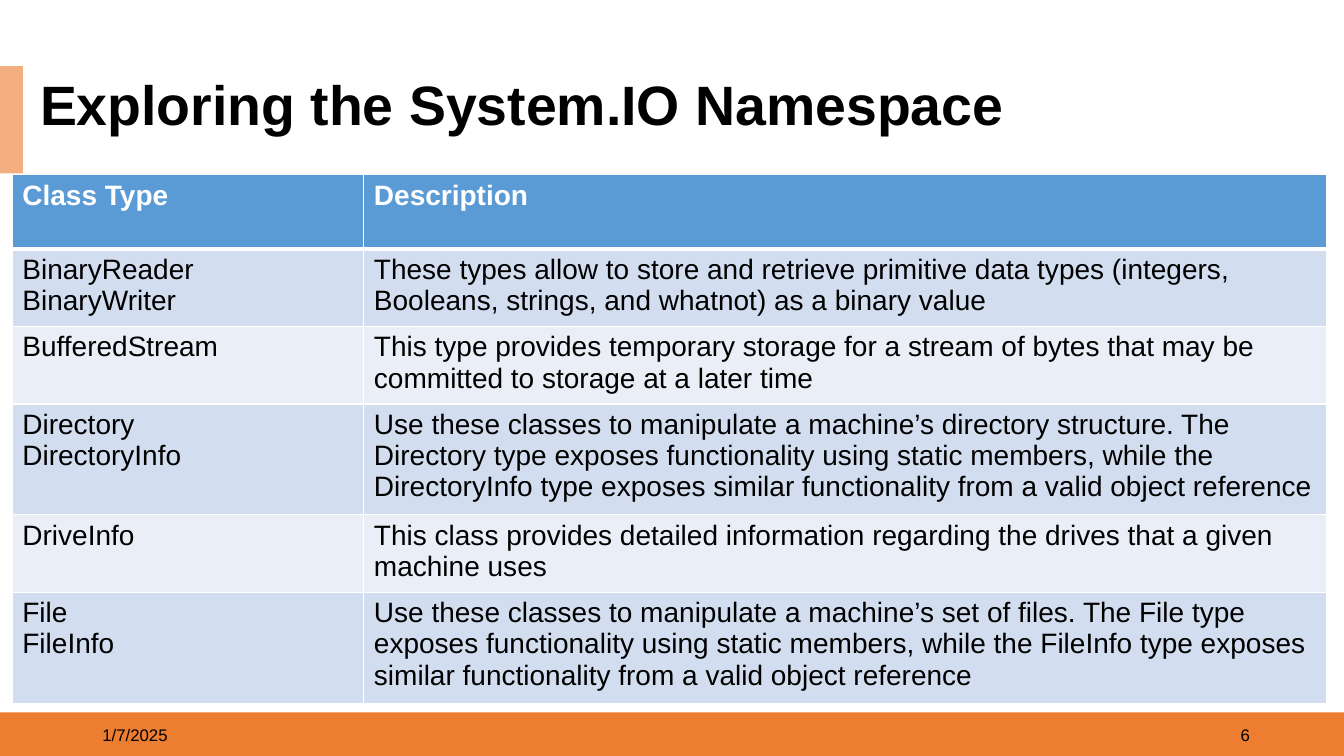
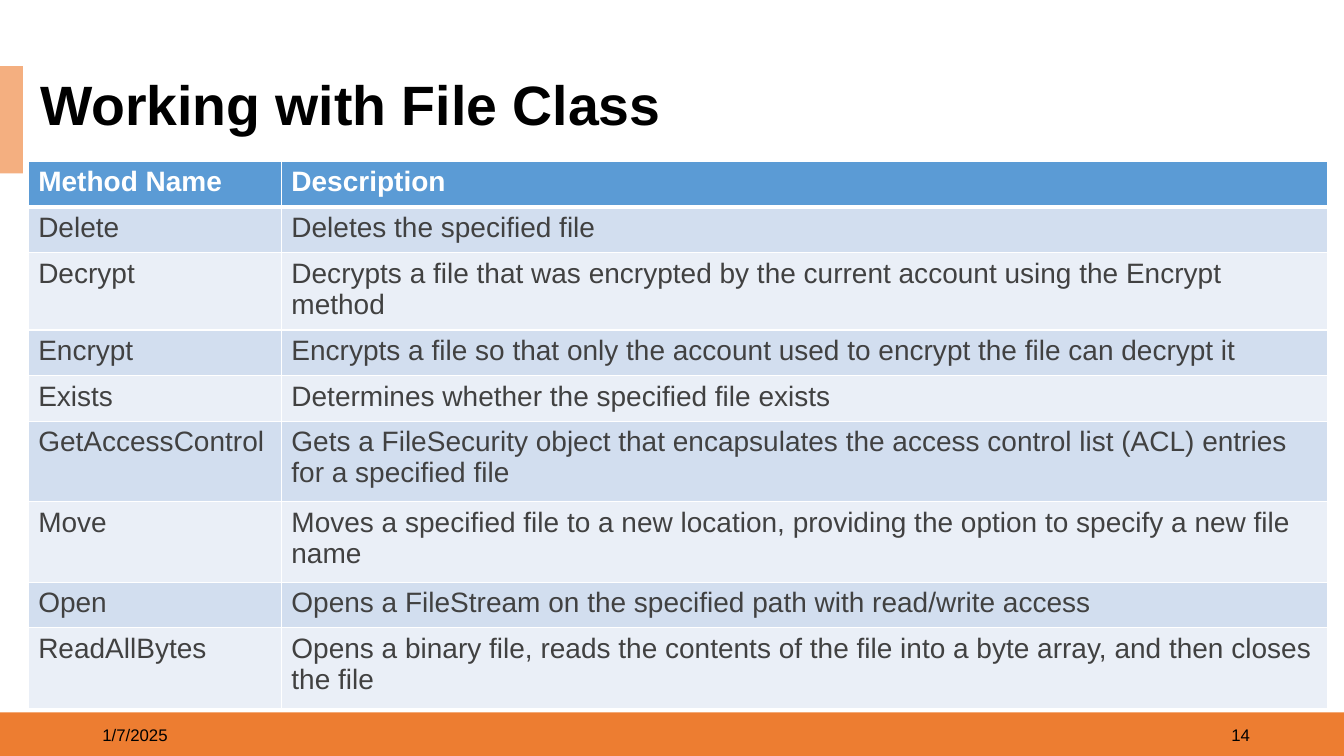
from dataclasses import dataclass

from lxml.etree import SubElement
from pptx import Presentation
from pptx.dml.color import RGBColor as RGB
from pptx.enum.shapes import MSO_SHAPE as Shape
from pptx.enum.text import MSO_ANCHOR as Anchor, PP_ALIGN as Align
from pptx.oxml.ns import qn
from pptx.util import Cm, Pt


@dataclass(frozen=True)
class Theme:
    font: str = "Arial"
    title_size: float = 39.6
    table_size: float = 20
    footer_size: float = 12
    border: float = 1
    header_border: float = 3
    black: str = "000000"
    white: str = "FFFFFF"
    gray: str = "414141"
    orange: str = "ED7D31"
    light_orange: str = "F4AF80"
    header: str = "5B9BD5"
    bands: tuple = ("D2DEEF", "EAEFF7")


THEME = Theme()
SLIDE_WIDTH, SLIDE_HEIGHT = 33.87, 19.05
ONE_LINE, TWO_LINES, THREE_LINES = 1.15, 1.88, 2.69
ROOMY = 2.03

NAMESPACE_ROWS = [
    ("Class Type", "Description", TWO_LINES),
    ("BinaryReader\nBinaryWriter",
     "These types allow to store and retrieve primitive data types (integers, "
     "Booleans, strings, and whatnot) as a binary value", TWO_LINES),
    ("BufferedStream",
     "This type provides temporary storage for a stream of bytes that may be "
     "committed to storage at a later time", TWO_LINES),
    ("Directory\nDirectoryInfo",
     "Use these classes to manipulate a machine’s directory structure. The "
     "Directory type exposes functionality using static members, while the "
     "DirectoryInfo type exposes similar functionality from a valid object "
     "reference", THREE_LINES),
    ("DriveInfo",
     "This class provides detailed information regarding the drives that a "
     "given machine uses", TWO_LINES),
    ("File\nFileInfo",
     "Use these classes to manipulate a machine’s set of files. The File type "
     "exposes functionality using static members, while the FileInfo type "
     "exposes similar functionality from a valid object reference", THREE_LINES),
]

FILE_METHOD_ROWS = [
    ("Method Name", "Description", ONE_LINE),
    ("Delete", "Deletes the specified file", ONE_LINE),
    ("Decrypt",
     "Decrypts a file that was encrypted by the current account using the "
     "Encrypt method", 1.85),
    ("Encrypt",
     "Encrypts a file so that only the account used to encrypt the file can "
     "decrypt it", ONE_LINE),
    ("Exists", "Determines whether the specified file exists", ONE_LINE),
    ("GetAccessControl",
     "Gets a FileSecurity object that encapsulates the access control list "
     "(ACL) entries for a specified file", ROOMY),
    ("Move",
     "Moves a specified file to a new location, providing the option to "
     "specify a new file name", ROOMY),
    ("Open", "Opens a FileStream on the specified path with read/write access",
     ONE_LINE),
    ("ReadAllBytes",
     "Opens a binary file, reads the contents of the file into a byte array, "
     "and then closes the file", ROOMY),
]


def format_text(text_frame, size, color, bold=False):
    for paragraph in text_frame.paragraphs:
        for run in paragraph.runs:
            run.font.name = THEME.font
            run.font.size = Pt(size)
            run.font.bold = bold
            run.font.color.rgb = RGB.from_string(color)


def add_band(slide, left, top, width, height, color):
    band = slide.shapes.add_shape(
        Shape.RECTANGLE, Cm(left), Cm(top), Cm(width), Cm(height))
    band.shadow.inherit = False
    band.fill.solid()
    band.fill.fore_color.rgb = RGB.from_string(color)
    band.line.fill.background()


def add_text(slide, text, left, top, width, height, size,
             bold=False, align=Align.LEFT):
    box = slide.shapes.add_textbox(Cm(left), Cm(top), Cm(width), Cm(height))
    text_frame = box.text_frame
    text_frame.word_wrap = True
    text_frame.vertical_anchor = Anchor.MIDDLE
    text_frame.text = text
    text_frame.paragraphs[0].alignment = align
    format_text(text_frame, size, THEME.black, bold)
    return box


def add_title(slide, text):
    title = add_text(slide, text, 0.76, 1.9, 26.08, 1.6, THEME.title_size, bold=True)
    title.fill.solid()
    title.fill.fore_color.rgb = RGB.from_string(THEME.white)
    title.text_frame.paragraphs[0].line_spacing = 0.9


def set_borders(cell, top, bottom):
    """Draw white cell borders; top and bottom are widths in points."""
    properties = cell._tc.get_or_add_tcPr()
    widths = {"a:lnL": THEME.border, "a:lnR": THEME.border,
              "a:lnT": top, "a:lnB": bottom}
    # The schema wants the borders ahead of the cell fill.
    for position, (tag, width) in enumerate(widths.items()):
        line = SubElement(properties, qn(tag), w=str(Pt(width)))
        fill = SubElement(line, qn("a:solidFill"))
        SubElement(fill, qn("a:srgbClr"), val=THEME.white)
        properties.insert(position, line)


def style_cell(cell, row_index, body_color):
    is_header = row_index == 0
    fill = THEME.header if is_header else THEME.bands[(row_index - 1) % 2]
    cell.fill.solid()
    cell.fill.fore_color.rgb = RGB.from_string(fill)
    set_borders(cell,
                top=THEME.header_border if row_index == 1 else THEME.border,
                bottom=THEME.header_border if is_header else THEME.border)
    format_text(cell.text_frame, THEME.table_size,
                THEME.white if is_header else body_color, bold=is_header)


def add_class_table(slide, rows, left, top, column_widths, body_color):
    """Add a table from rows of (name, description, row height)."""
    height = sum(row[-1] for row in rows)
    table = slide.shapes.add_table(
        len(rows), len(column_widths), Cm(left), Cm(top),
        Cm(sum(column_widths)), Cm(height)).table
    for column, width in zip(table.columns, column_widths):
        column.width = Cm(width)
    for row_index, (*texts, row_height) in enumerate(rows):
        table.rows[row_index].height = Cm(row_height)
        for column_index, text in enumerate(texts):
            cell = table.cell(row_index, column_index)
            cell.text_frame.text = text
            style_cell(cell, row_index, body_color)


def add_slide(presentation, title, number):
    """Add a slide with the shared bands, footer and title."""
    slide = presentation.slides.add_slide(presentation.slide_layouts[6])
    add_band(slide, 0, 17.95, SLIDE_WIDTH, 1.1, THEME.orange)
    add_band(slide, 0, 1.67, 0.58, 2.7, THEME.light_orange)
    add_text(slide, "1/7/2025", 2.33, 18, 7.62, 1.02, THEME.footer_size)
    add_text(slide, str(number), 24.13, 18, 7.62, 1.02, THEME.footer_size,
             align=Align.RIGHT)
    add_title(slide, title)
    return slide


def main():
    presentation = Presentation()
    presentation.slide_width = Cm(SLIDE_WIDTH)
    presentation.slide_height = Cm(SLIDE_HEIGHT)

    namespace_slide = add_slide(presentation, "Exploring the System.IO Namespace", 6)
    add_class_table(namespace_slide, NAMESPACE_ROWS, 0.31, 4.4,
                    (8.86, 24.26), THEME.black)

    file_slide = add_slide(presentation, "Working with File Class", 14)
    add_class_table(file_slide, FILE_METHOD_ROWS, 0.71, 4.07,
                    (6.38, 26.37), THEME.gray)

    presentation.save("out.pptx")


if __name__ == "__main__":
    main()
